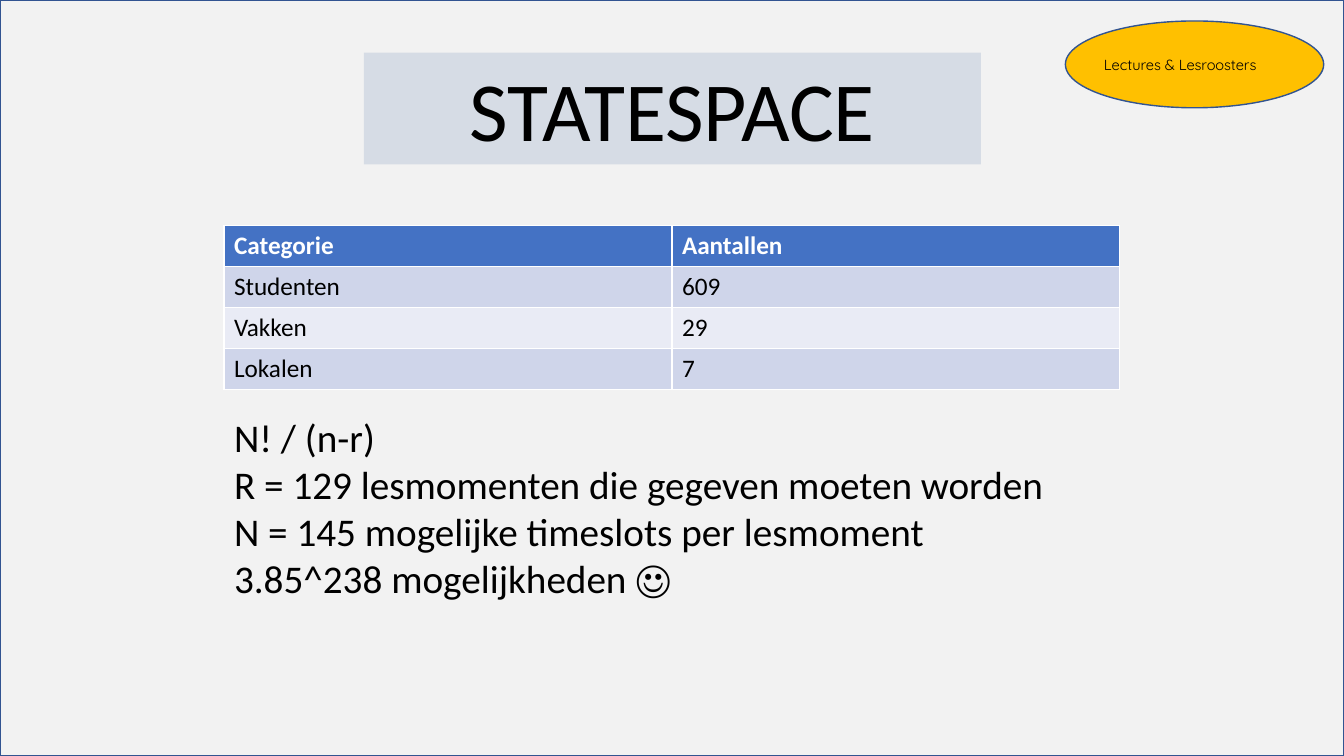
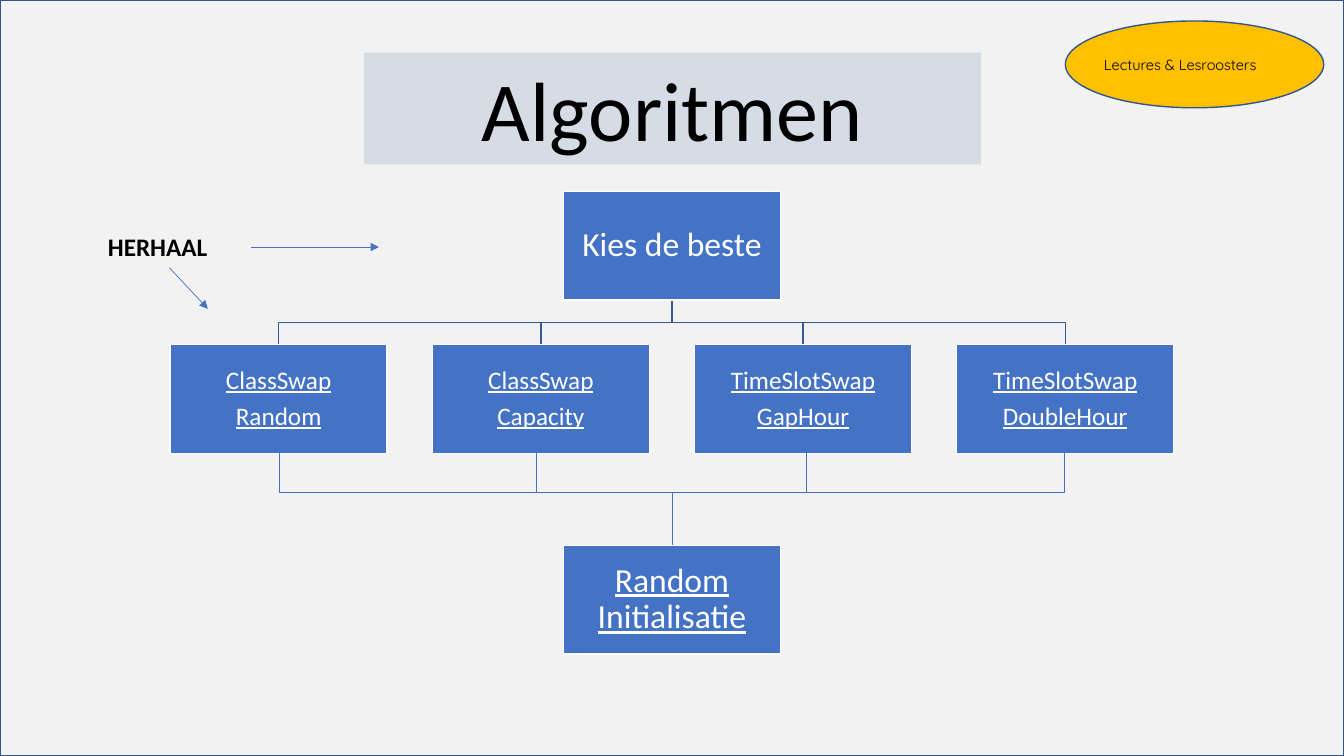
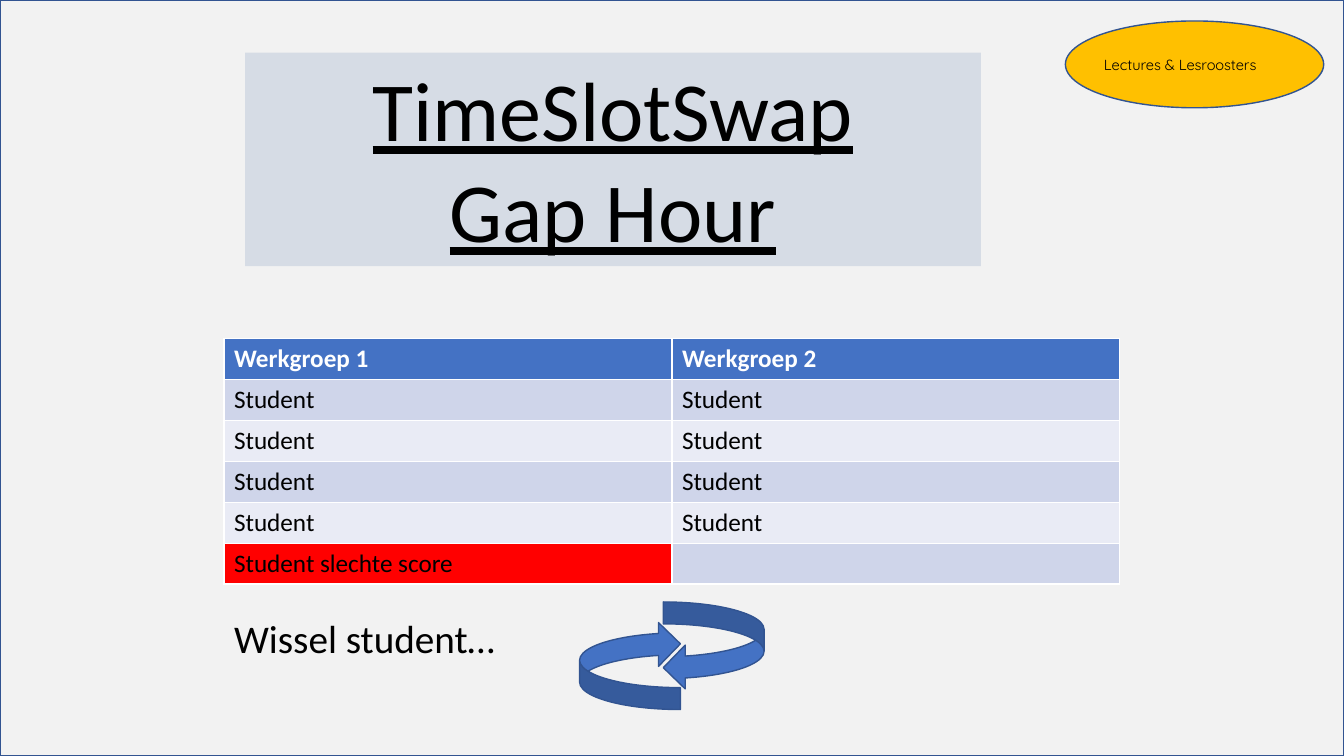
import pptx
import pptx.util
import pptx.dml.color
import pptx.enum.shapes
import pptx.enum.text
import pptx.oxml.ns
from lxml import etree

Pt = pptx.util.Pt
RGBColor = pptx.dml.color.RGBColor
MSO_SHAPE = pptx.enum.shapes.MSO_SHAPE
PP_ALIGN = pptx.enum.text.PP_ALIGN
MSO_ANCHOR = pptx.enum.text.MSO_ANCHOR
qn = pptx.oxml.ns.qn

BLACK = RGBColor(0x00, 0x00, 0x00)
WHITE = RGBColor(0xFF, 0xFF, 0xFF)
PAPER = RGBColor(0xF2, 0xF2, 0xF2)
BAND = RGBColor(0xD6, 0xDC, 0xE5)
BLUE = RGBColor(0x44, 0x72, 0xC4)
EDGE = RGBColor(0x32, 0x54, 0x91)
TREE = RGBColor(0x36, 0x5B, 0x9D)
GOLD = RGBColor(0xFF, 0xC0, 0x00)
RED = RGBColor(0xFF, 0x00, 0x00)
ROWS = [RGBColor(0xE9, 0xEB, 0xF5), RGBColor(0xCF, 0xD5, 0xEA)]


def write(tf, text, size, color=BLACK, align=PP_ALIGN.LEFT, bold=False,
          underline=False, font="Calibri", spacing=1.0, after=0):
    tf.text = text
    tf.word_wrap = True
    for p in tf.paragraphs:
        p.alignment = align
        p.line_spacing = spacing
        p.space_before = Pt(0)
        p.space_after = Pt(after)
        for r in p.runs:
            r.font.name = font
            r.font.size = Pt(size)
            r.font.bold = bold
            r.font.underline = underline
            r.font.color.rgb = color


def add_box(s, kind, left, top, width, height, fill, line):
    sp = s.shapes.add_shape(kind, Pt(left), Pt(top), Pt(width), Pt(height))
    sp.shadow.inherit = False
    sp.fill.solid()
    sp.fill.fore_color.rgb = fill
    sp.line.color.rgb = line
    sp.line.width = Pt(1)
    return sp


prs = pptx.Presentation()
prs.slide_width, prs.slide_height = Pt(960), Pt(540)

titles = [
    (1, "STATESPACE", 260, 440.6, 80, False),
    (5, "Algoritmen", 260, 440.6, 80, False),
    (1, "TimeSlotSwap\vGap Hour", 175, 525.6, 152.6, True),
]
for layout, text, left, width, height, underline in titles:
    s = prs.slides.add_slide(prs.slide_layouts[layout])
    frame = add_box(s, MSO_SHAPE.RECTANGLE, 0, 0, 960, 540, PAPER, EDGE)
    s.shapes.element.insert(2, frame.element)

    title = s.shapes.title
    title.left, title.top = Pt(left), Pt(37.5)
    title.width, title.height = Pt(width), Pt(height)
    title.fill.solid()
    title.fill.fore_color.rgb = BAND
    tf = title.text_frame
    tf.auto_size = pptx.enum.text.MSO_AUTO_SIZE.NONE
    tf.vertical_anchor = MSO_ANCHOR.TOP
    write(tf, text, 60, align=PP_ALIGN.CENTER, underline=underline)

    add_box(s, MSO_SHAPE.OVAL, 761, 15, 184.5, 62, GOLD, EDGE)
    badge = s.shapes.add_textbox(Pt(781.5), Pt(38), Pt(144), Pt(16))
    write(badge.text_frame, "Lectures & Lesroosters", 10.5, font="Quicksand", spacing=0.9)

statespace, algorithms, gap_hour = prs.slides

tables = [
    (statespace, 161.3,
     [("Categorie", "Aantallen"), ("Studenten", "609"), ("Vakken", "29"), ("Lokalen", "7")],
     291.5, 143,
     "N! / (n-r)\nR = 129 lesmomenten die gegeven moeten worden\n"
     "N = 145 mogelijke timeslots per lesmoment\n3.85^238 mogelijkheden ☺"),
    (gap_hour, 242,
     [("Werkgroep 1", "Werkgroep 2")] + [("Student", "Student")] * 4
     + [("Student slechte score", "")],
     435, 41, "Wissel student…"),
]
for s, top, rows, body_top, body_height, text in tables:
    table = s.shapes.add_table(len(rows), 2, Pt(160), Pt(top), Pt(640),
                               Pt(29.2 * len(rows))).table
    for i, row in enumerate(rows):
        table.rows[i].height = Pt(29.2)
        for j, value in enumerate(row):
            cell = table.cell(i, j)
            cell.fill.solid()
            cell.fill.fore_color.rgb = ROWS[i % 2] if i else BLUE
            write(cell.text_frame, value, 18, BLACK if i else WHITE, bold=i == 0)

    body = s.placeholders[1]
    body.left, body.top = Pt(160), Pt(body_top)
    body.width, body.height = Pt(640), Pt(body_height)
    tf = body.text_frame
    tf.auto_size = pptx.enum.text.MSO_AUTO_SIZE.NONE
    write(tf, text, 28)
    for p in tf.paragraphs:
        pPr = p._p.get_or_add_pPr()
        pPr.set("marL", "0")
        pPr.set("indent", "0")
        etree.SubElement(pPr, qn("a:buNone"))

bad_score = table.cell(5, 0)
bad_score.fill.fore_color.rgb = RED

for left, top, turn in [(473.8, 430, 0), (414, 444.2, 180)]:
    arrow = add_box(gap_hour, MSO_SHAPE.CURVED_LEFT_ARROW, left, top, 72, 62.6, BLUE, EDGE)
    arrow.rotation = turn

s = algorithms
box_w, box_h, step, mid = 155, 77.6, 187.3, 480
best_y, swap_y, start_y = 136.6, 246.3, 389.6
centers = [mid + step * (i - 1.5) for i in range(4)]
swaps = ["ClassSwap\nRandom", "ClassSwap\nCapacity",
         "TimeSlotSwap\nGapHour", "TimeSlotSwap\nDoubleHour"]

best_bottom = best_y + box_h
fork_y = (best_bottom + swap_y) / 2
for x in centers:
    fb = s.shapes.build_freeform(Pt(mid), Pt(best_bottom))
    fb.add_line_segments([(Pt(mid), Pt(fork_y)), (Pt(x), Pt(fork_y)), (Pt(x), Pt(swap_y))],
                         close=False)
    branch = fb.convert_to_shape()
    branch.shadow.inherit = False
    branch.fill.background()
    branch.line.color.rgb = TREE
    branch.line.width = Pt(1)

boxes = [(mid, best_y, "Kies de beste", 24, False)]
boxes += [(x, swap_y, text, 18, True) for x, text in zip(centers, swaps)]
boxes += [(mid, start_y, "Random Initialisatie", 24, True)]
for x, top, text, size, underline in boxes:
    sp = add_box(s, MSO_SHAPE.RECTANGLE, x - box_w / 2, top, box_w, box_h, BLUE, WHITE)
    tf = sp.text_frame
    tf.margin_left = tf.margin_right = tf.margin_top = tf.margin_bottom = Pt(1)
    tf.vertical_anchor = MSO_ANCHOR.MIDDLE
    write(tf, text, size, WHITE, PP_ALIGN.CENTER, underline=underline,
          spacing=0.9, after=0.35 * size)

repeat = s.shapes.add_textbox(Pt(70), Pt(162), Pt(110), Pt(29))
write(repeat.text_frame, "HERHAAL", 18, bold=True)

swap_bottom, join_y = swap_y + box_h, 351.5
stems = [199.5, 383, 576, 760.5]
lines = [(x, join_y, x, swap_bottom, False) for x in stems]
lines += [
    (stems[0], join_y, stems[-1], join_y, False),
    (mid, join_y, mid, start_y, False),
    (179.3, 176.5, 270.7, 176.5, True),
    (121, 191.2, 148.5, 220.6, True),
]
for x1, y1, x2, y2, pointed in lines:
    c = s.shapes.add_connector(pptx.enum.shapes.MSO_CONNECTOR.STRAIGHT,
                               Pt(x1), Pt(y1), Pt(x2), Pt(y2))
    c.line.color.rgb = BLUE
    c.line.width = Pt(0.5)
    spPr = c.element.spPr
    if pointed:
        etree.SubElement(spPr.find(qn("a:ln")), qn("a:tailEnd"), type="triangle")
    etree.SubElement(spPr, qn("a:effectLst"))

prs.save("out.pptx")
